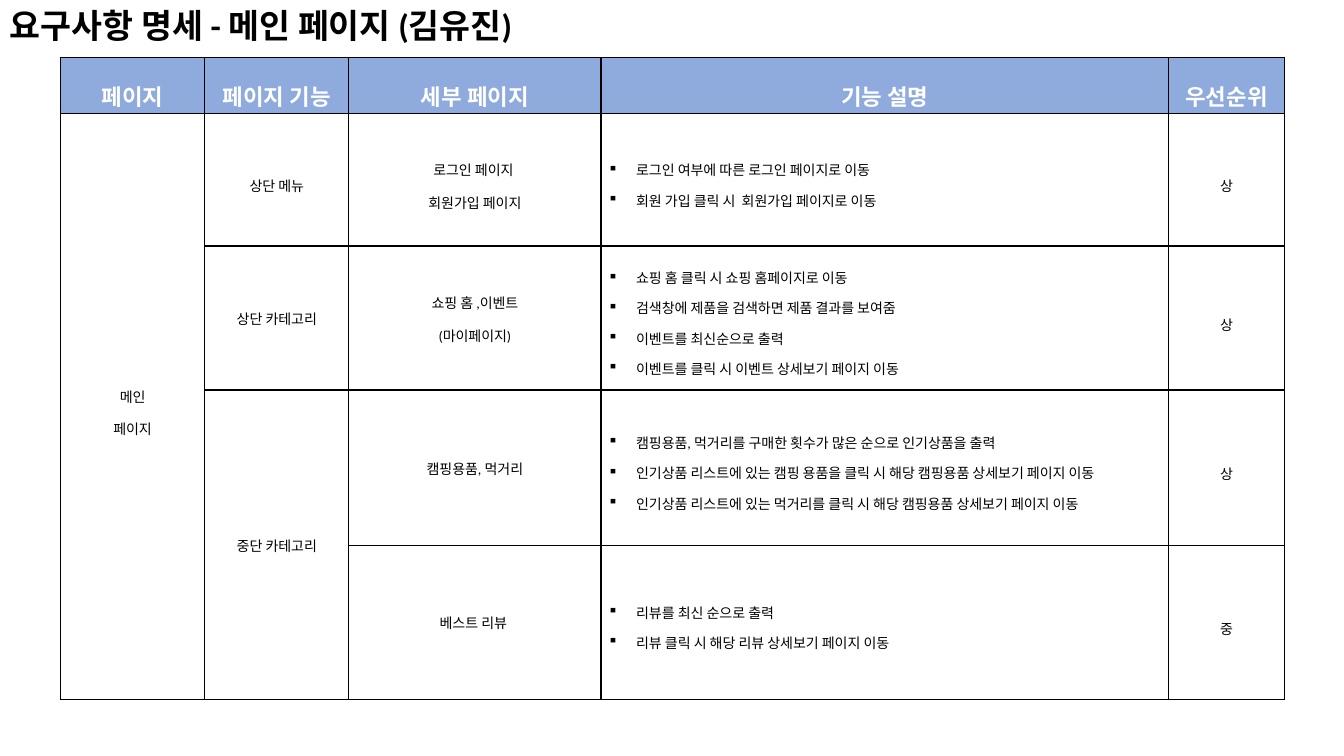
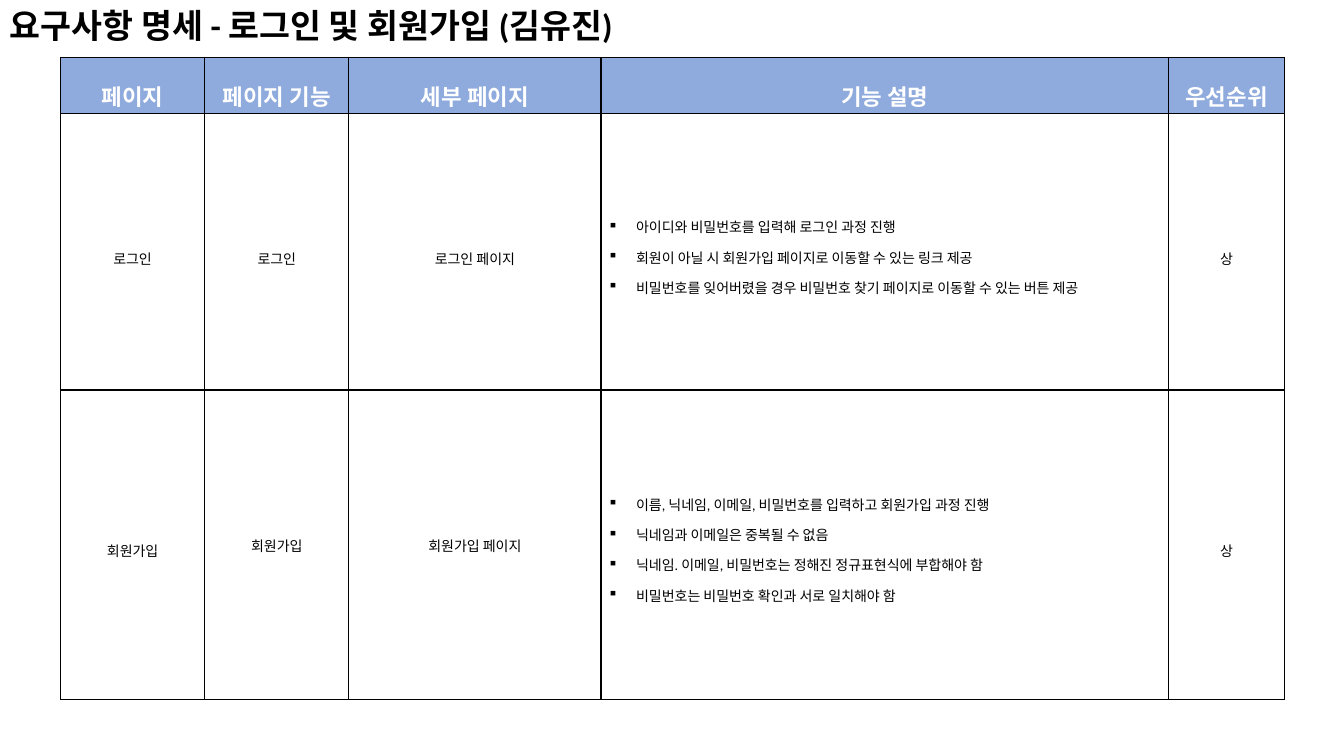
from dataclasses import dataclass
from functools import partial

from lxml.etree import SubElement
from pptx import Presentation
from pptx.dml.color import RGBColor
from pptx.enum.text import MSO_ANCHOR as Anchor, MSO_AUTO_SIZE as AutoSize, PP_ALIGN as Align
from pptx.oxml.ns import qn
from pptx.util import Inches, Pt


@dataclass(frozen=True)
class Theme:
    font: str = "Calibri"
    black: RGBColor = RGBColor(0x00, 0x00, 0x00)
    white: RGBColor = RGBColor(0xFF, 0xFF, 0xFF)
    header_fill: RGBColor = RGBColor(0x8F, 0xAA, 0xDC)
    title_size: int = 24
    header_size: int = 16
    body_size: int = 10
    border_width: int = 1


@dataclass(frozen=True)
class Entry:
    """Text of one table cell, one string per paragraph."""
    lines: tuple
    spacing: float = 1.6
    after: int = 0
    bulleted: bool = False
    rows: int = 1


def entry(*lines, **style):
    return Entry(lines, **style)


tight = partial(entry, spacing=1.07, after=8)
bullets = partial(entry, spacing=1.5, bulleted=True)

HEADERS = ("페이지", "페이지 기능", "세부 페이지", "기능 설명", "우선순위")
COLUMN_WIDTHS = (1.43, 1.43, 2.5, 5.63, 1.15)
HEADER_HEIGHT = 0.56
TABLE_LEFT, TABLE_TOP = 0.6, 0.57
MARGIN_SIDE, MARGIN_END = 0.07, 0.02
BULLET_INDENT = 0.28


class SpecDeck:
    def __init__(self, theme):
        self.theme = theme
        self.deck = Presentation()
        self.deck.slide_width, self.deck.slide_height = Inches(13.33), Inches(7.5)
        self.page = None

    def add_page(self):
        self.page = self.deck.slides.add_slide(self.deck.slide_layouts[6])

    def set_font(self, para, size, color, bold=False):
        font = para.font
        font.name, font.size, font.bold = self.theme.font, Pt(size), bold
        font.color.rgb = color

    def title(self, text, width):
        box = self.page.shapes.add_textbox(0, 0, Inches(width), Inches(0.5))
        frame = box.text_frame
        frame.word_wrap = True
        frame.auto_size = AutoSize.SHAPE_TO_FIT_TEXT
        para = frame.paragraphs[0]
        para.text = text
        self.set_font(para, self.theme.title_size, self.theme.black, bold=True)

    def table(self, heights, body):
        """Draw the header row and the body; None marks a cell covered by a span."""
        heights = (HEADER_HEIGHT, *heights)
        table = self.page.shapes.add_table(
            len(heights), len(COLUMN_WIDTHS), Inches(TABLE_LEFT), Inches(TABLE_TOP),
            Inches(sum(COLUMN_WIDTHS)), Inches(sum(heights))).table
        table.first_row = table.horz_banding = False
        for column, width in zip(table.columns, COLUMN_WIDTHS):
            column.width = Inches(width)
        for row, height in zip(table.rows, heights):
            row.height = Inches(height)
        for r, entries in enumerate([[entry(text) for text in HEADERS], *body]):
            for c, item in enumerate(entries):
                cell = table.cell(r, c)
                self.style_cell(cell, is_header=r == 0)
                if item is None:
                    continue
                if item.rows > 1:
                    cell.merge(table.cell(r + item.rows - 1, c))
                self.fill_cell(cell, item, is_header=r == 0)

    def style_cell(self, cell, is_header):
        properties = cell._tc.get_or_add_tcPr()
        for side in ("lnL", "lnR", "lnT", "lnB"):
            line = SubElement(properties, qn(f"a:{side}"), w=str(Pt(self.theme.border_width)))
            fill = SubElement(line, qn("a:solidFill"))
            SubElement(fill, qn("a:srgbClr"), val=str(self.theme.black))
        cell.fill.solid()
        cell.fill.fore_color.rgb = self.theme.header_fill if is_header else self.theme.white
        cell.margin_left = cell.margin_right = Inches(MARGIN_SIDE)
        cell.margin_top = cell.margin_bottom = Inches(MARGIN_END)
        cell.vertical_anchor = Anchor.MIDDLE

    def fill_cell(self, cell, item, is_header):
        theme = self.theme
        frame = cell.text_frame
        for index, text in enumerate(item.lines):
            para = frame.add_paragraph() if index else frame.paragraphs[0]
            para.text = text
            para.line_spacing = item.spacing
            para.space_after = Pt(item.after)
            if item.bulleted:
                self.add_bullet(para)
            else:
                para.alignment = Align.CENTER
            if is_header:
                self.set_font(para, theme.header_size, theme.white, bold=True)
            else:
                self.set_font(para, theme.body_size, theme.black)

    def add_bullet(self, para):
        properties = para._p.get_or_add_pPr()
        indent = Inches(BULLET_INDENT)
        properties.set("marL", str(indent))
        properties.set("indent", str(-indent))
        SubElement(properties, qn("a:buChar"), char="▪")


def main():
    spec = SpecDeck(Theme())
    high, medium = entry("상"), entry("중")

    spec.add_page()
    spec.title("요구사항 명세 - 메인 페이지 (김유진)", 6.34)
    spec.table((1.31, 1.43, 1.54, 1.53), [
        [entry("메인", "페이지", rows=4), entry("상단 메뉴"),
         entry("로그인 페이지 ", "회원가입 페이지"),
         bullets("로그인 여부에 따른 로그인 페이지로 이동",
                 "회원 가입 클릭 시  회원가입 페이지로 이동"), high],
        [None, tight("상단 카테고리"), tight("쇼핑 홈 ,이벤트", "(마이페이지)"),
         bullets("쇼핑 홈 클릭 시 쇼핑 홈페이지로 이동",
                 "검색창에 제품을 검색하면 제품 결과를 보여줌 ",
                 "이벤트를 최신순으로 출력",
                 "이벤트를 클릭 시 이벤트 상세보기 페이지 이동"), high],
        [None, tight("중단 카테고리", rows=2), tight("캠핑용품, 먹거리"),
         bullets("캠핑용품, 먹거리를 구매한 횟수가 많은 순으로 인기상품을 출력",
                 "인기상품 리스트에 있는 캠핑 용품을 클릭 시 해당 캠핑용품 상세보기 페이지 이동",
                 "인기상품 리스트에 있는 먹거리를 클릭 시 해당 캠핑용품 상세보기 페이지 이동"), high],
        [None, None, entry("베스트 리뷰 ", spacing=1.0),
         bullets("리뷰를 최신 순으로 출력",
                 "리뷰 클릭 시 해당 리뷰 상세보기 페이지 이동"), medium],
    ])

    spec.add_page()
    spec.title("요구사항 명세 - 로그인 및 회원가입 (김유진)", 7.57)
    spec.table((2.74, 3.07), [
        [entry("로그인"), entry("로그인"), entry("로그인 페이지"),
         bullets("아이디와 비밀번호를 입력해 로그인 과정 진행",
                 "회원이 아닐 시 회원가입 페이지로 이동할 수 있는 링크 제공",
                 "비밀번호를 잊어버렸을 경우 비밀번호 찾기 페이지로 이동할 수 있는 버튼 제공"), high],
        [entry("회원가입"), tight("회원가입"), tight("회원가입 페이지"),
         bullets("이름, 닉네임, 이메일, 비밀번호를 입력하고 회원가입 과정 진행",
                 "닉네임과 이메일은 중복될 수 없음",
                 "닉네임. 이메일, 비밀번호는 정해진 정규표현식에 부합해야 함",
                 "비밀번호는 비밀번호 확인과 서로 일치해야 함"), high],
    ])

    spec.deck.save("out.pptx")


if __name__ == "__main__":
    main()
